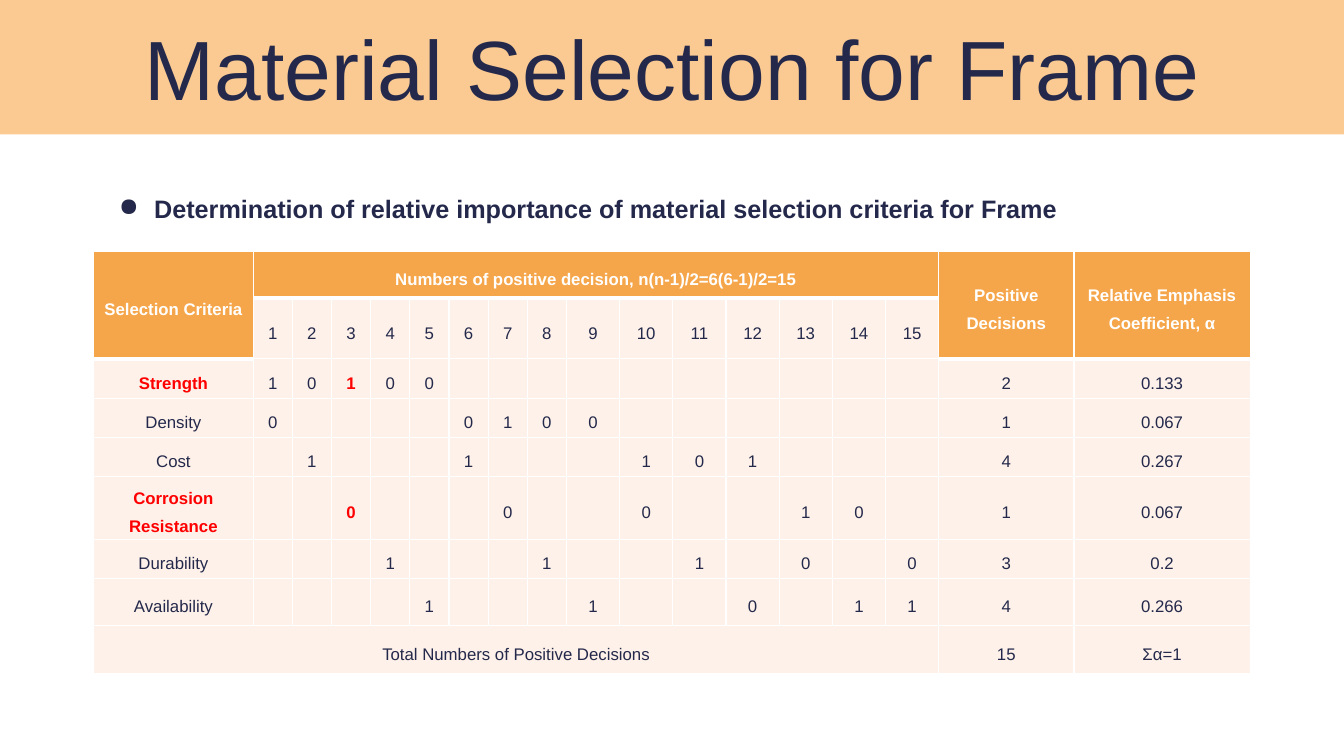
from itertools import combinations

from pptx import Presentation
from pptx.dml.color import RGBColor
from pptx.enum.shapes import MSO_SHAPE
from pptx.enum.text import MSO_ANCHOR, PP_ALIGN
from pptx.oxml.ns import qn
from pptx.util import Pt
from lxml import etree

RECTANGLE = MSO_SHAPE.RECTANGLE
MIDDLE, TOP = MSO_ANCHOR.MIDDLE, MSO_ANCHOR.TOP
CENTER, LEFT = PP_ALIGN.CENTER, PP_ALIGN.LEFT

FONT = "Arial"
NAVY, WHITE, RED = "24294B", "FFFFFF", "FF0000"
BANNER, HEADER, BODY = "FACA92", "F6A64A", "FDF1E9"

# Each criterion with its number of positive decisions and its coefficient
CRITERIA = [
    ("Strength", "2", "0.133"),
    ("Density", "1", "0.067"),
    ("Cost", "4", "0.267"),
    ("Corrosion Resistance", "1", "0.067"),
    ("Durability", "3", "0.2"),
    ("Availability", "4", "0.266"),
]
# Score of the first criterion in each pair; the second gets the opposite
FIRST_SCORES = "101000100101100"
HIGHLIGHTED_PAIR = (0, 3)

COLUMN_WIDTHS = [113.8] + [28] * 8 + [38] * 7 + [96.6, 126]
ROW_HEIGHTS = [33.6, 39.7, 28.1, 28.1, 28.1, 44.6, 28.1, 33.6, 34.6]
DECISIONS_COLUMN, COEFFICIENT_COLUMN = 16, 17
FIRST_CRITERION_ROW, TOTAL_ROW = 2, 8


def rgb(hex_color):
    return RGBColor.from_string(hex_color)


def write(frame, text, size, color, bold=False, align=CENTER):
    paragraph = frame.paragraphs[0]
    paragraph.alignment = align
    run = paragraph.add_run()
    run.text = text
    run.font.name = FONT
    run.font.size = Pt(size)
    run.font.bold = bold
    run.font.color.rgb = rgb(color)
    return paragraph


def set_frame(frame, anchor):
    frame.word_wrap = True
    frame.vertical_anchor = anchor
    frame.margin_left = frame.margin_right = Pt(7.2)
    frame.margin_top = frame.margin_bottom = Pt(7.2)


def add_title_banner(slide, left, top, width, height):
    banner = slide.shapes.add_shape(RECTANGLE, Pt(left), Pt(top), Pt(width), Pt(height))
    banner.shadow.inherit = False
    banner.fill.solid()
    banner.fill.fore_color.rgb = rgb(BANNER)
    banner.line.fill.background()
    set_frame(banner.text_frame, MIDDLE)
    write(banner.text_frame, "Material Selection for Frame", 60, NAVY)


def add_subtitle(slide, left, top, width, height):
    subtitle = slide.shapes.add_textbox(Pt(left), Pt(top), Pt(width), Pt(height))
    set_frame(subtitle.text_frame, TOP)
    paragraph = write(
        subtitle.text_frame,
        "Determination of relative importance of material selection criteria for Frame",
        18, NAVY, bold=True, align=LEFT)
    # Bullet with a hanging indent
    properties = paragraph._p.get_or_add_pPr()
    properties.set("marL", str(Pt(36)))
    properties.set("indent", str(Pt(-25.2)))
    bullet_color = etree.SubElement(properties, qn("a:buClr"))
    etree.SubElement(bullet_color, qn("a:srgbClr"), val=NAVY)
    etree.SubElement(properties, qn("a:buChar"), char="●")


def style_cell(cell, fill, bottom_width):
    cell.vertical_anchor = MIDDLE
    cell.margin_left = cell.margin_right = Pt(5)
    cell.margin_top = cell.margin_bottom = 0
    properties = cell._tc.get_or_add_tcPr()
    for side, width in (("L", 1), ("R", 1), ("T", 1), ("B", bottom_width)):
        border = etree.SubElement(properties, qn(f"a:ln{side}"), w=str(Pt(width)))
        solid = etree.SubElement(border, qn("a:solidFill"))
        etree.SubElement(solid, qn("a:srgbClr"), val=WHITE)
    cell.fill.solid()
    cell.fill.fore_color.rgb = rgb(fill)


def add_decision_table(slide, left, top):
    frame = slide.shapes.add_table(
        len(ROW_HEIGHTS), len(COLUMN_WIDTHS), Pt(left), Pt(top),
        Pt(sum(COLUMN_WIDTHS)), Pt(sum(ROW_HEIGHTS)))
    table = frame.table
    table.first_row = table.horz_banding = False
    for column, width in zip(table.columns, COLUMN_WIDTHS):
        column.width = Pt(width)
    for row, height in zip(table.rows, ROW_HEIGHTS):
        row.height = Pt(height)

    # Fills and borders
    tall_headers = (0, DECISIONS_COLUMN, COEFFICIENT_COLUMN)
    for row in range(len(ROW_HEIGHTS)):
        for column in range(len(COLUMN_WIDTHS)):
            is_header = row == 0 or (row == 1 and column in tall_headers)
            style_cell(table.cell(row, column),
                       HEADER if is_header else BODY, 3 if is_header else 1)

    # Merged cells
    for column in tall_headers:
        table.cell(0, column).merge(table.cell(1, column))
    table.cell(0, 1).merge(table.cell(0, DECISIONS_COLUMN - 1))
    table.cell(TOTAL_ROW, 0).merge(table.cell(TOTAL_ROW, DECISIONS_COLUMN - 1))

    def put(row, column, text, color=NAVY):
        paragraph = write(table.cell(row, column).text_frame, text, 12,
                          color, bold=color != NAVY)
        paragraph.line_spacing = 1.5

    # Header
    put(0, 0, "Selection Criteria", WHITE)
    put(0, 1, "Numbers of positive decision, n(n-1)/2=6(6-1)/2=15", WHITE)
    put(0, DECISIONS_COLUMN, "Positive Decisions", WHITE)
    put(0, COEFFICIENT_COLUMN, "Relative Emphasis Coefficient, α", WHITE)

    # Criteria
    for index, (name, decisions, coefficient) in enumerate(CRITERIA):
        row = FIRST_CRITERION_ROW + index
        put(row, 0, name, RED if index in HIGHLIGHTED_PAIR else NAVY)
        put(row, DECISIONS_COLUMN, decisions)
        put(row, COEFFICIENT_COLUMN, coefficient)

    # Pairwise decisions, one column per pair of criteria
    pairs = combinations(range(len(CRITERIA)), 2)
    for column, (pair, score) in enumerate(zip(pairs, FIRST_SCORES), start=1):
        color = RED if pair == HIGHLIGHTED_PAIR else NAVY
        put(1, column, str(column))
        put(FIRST_CRITERION_ROW + pair[0], column, score, color)
        put(FIRST_CRITERION_ROW + pair[1], column, str(1 - int(score)), color)

    # Totals
    put(TOTAL_ROW, 0, "Total Numbers of Positive Decisions")
    put(TOTAL_ROW, DECISIONS_COLUMN, "15")
    put(TOTAL_ROW, COEFFICIENT_COLUMN, "Σα=1")


def main():
    presentation = Presentation()
    presentation.slide_width, presentation.slide_height = Pt(960), Pt(540)
    slide = presentation.slides.add_slide(presentation.slide_layouts[6])
    add_title_banner(slide, 0, 0, 960, 96)
    add_subtitle(slide, 67, 131, 826.6, 38)
    add_decision_table(slide, 67, 179.5)
    presentation.save("out.pptx")


if __name__ == "__main__":
    main()
